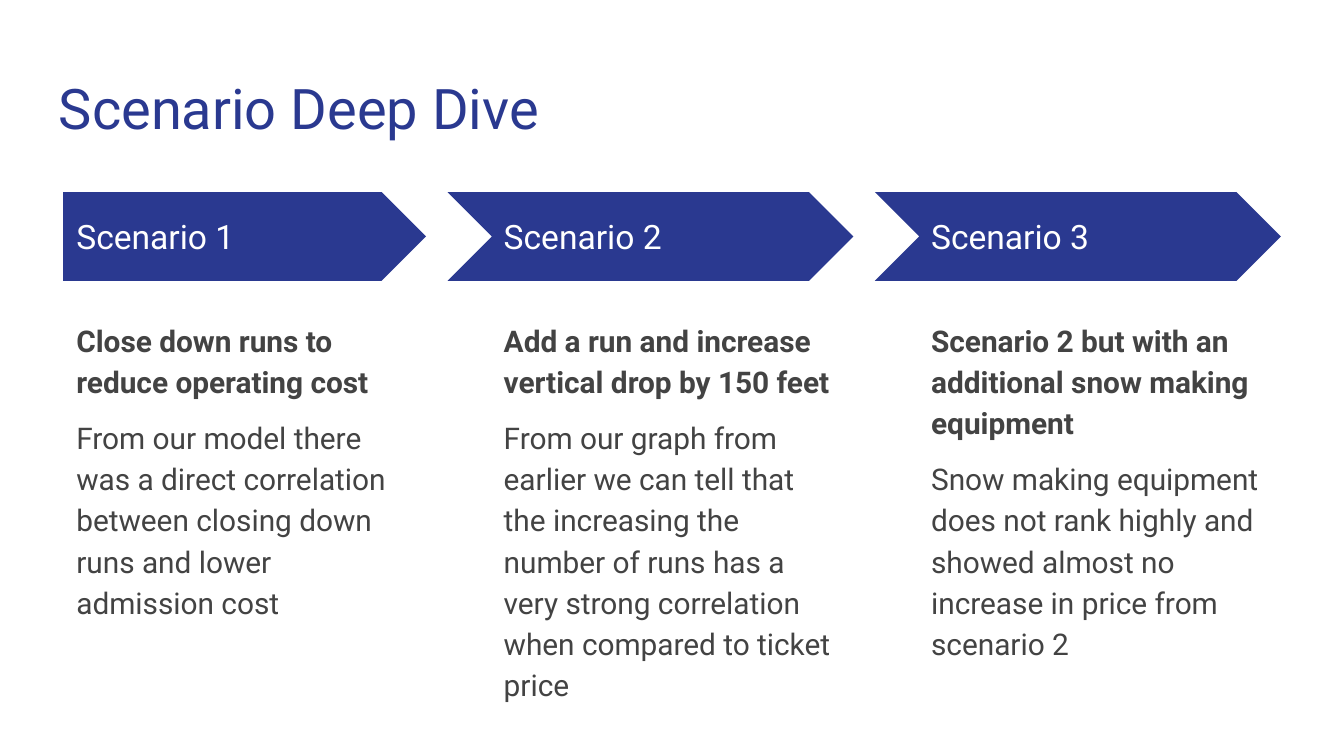
from pptx import Presentation
from pptx.dml.color import RGBColor
from pptx.enum.shapes import MSO_SHAPE
from pptx.enum.text import MSO_ANCHOR
from pptx.util import Inches, Pt

TITLE = "Scenario Deep Dive"
SCENARIOS = [
    ("Scenario 1", "Close down runs to reduce operating cost",
     "From our model there was a direct correlation between closing down "
     "runs and lower admission cost"),
    ("Scenario 2", "Add a run and increase vertical drop by 150 feet",
     "From our graph from earlier we can tell that the increasing the number "
     "of runs has a very strong correlation when compared to ticket price"),
    ("Scenario 3", "Scenario 2 but with an additional snow making equipment",
     "Snow making equipment does not rank highly and showed almost no "
     "increase in price from scenario 2"),
]
BLUE, WHITE, GREY = "2A3990", "FFFFFF", "434343"
FONT = "Roboto"

# Inches
SLIDE_W = 10
SLIDE_H = SLIDE_W * 9 / 16
LEFT, PITCH, COLUMN_W = 0.47, 3.18, 2.7
NOTCH = 0.32  # how far a chevron starts left of its column
ARROW_TOP, ARROW_H = 1.43, 0.66
LABEL_W, LABEL_H = 2.47, 0.34
BODY_TOP, BODY_H = 2.26, 2.9


def rgb(color):
    return RGBColor.from_string(color)


def add_text(s, box, paragraphs, size, color, anchor=MSO_ANCHOR.TOP,
             line_spacing=1.0):
    """paragraphs holds (text, bold, space before and after in points)."""
    tf = s.shapes.add_textbox(*map(Inches, box)).text_frame
    tf.word_wrap = True
    tf.vertical_anchor = anchor
    tf.margin_left = tf.margin_right = Inches(0.1)
    tf.margin_top = tf.margin_bottom = Inches(0.1)
    for i, (text, bold, space) in enumerate(paragraphs):
        p = tf.add_paragraph() if i else tf.paragraphs[0]
        p.line_spacing = line_spacing
        p.space_before = p.space_after = Pt(space)
        r = p.add_run()
        r.text = text
        r.font.name, r.font.size, r.font.bold = FONT, Pt(size), bold
        r.font.color.rgb = rgb(color)


def add_arrow(s, kind, left, width):
    sp = s.shapes.add_shape(kind, *map(Inches, (left, ARROW_TOP, width, ARROW_H)))
    sp.adjustments[0] = 0.5
    sp.shadow.inherit = False
    sp.fill.solid()
    sp.fill.fore_color.rgb = rgb(BLUE)
    sp.line.fill.background()


prs = Presentation()
prs.slide_width, prs.slide_height = Inches(SLIDE_W), Inches(SLIDE_H)
s = prs.slides.add_slide(prs.slide_layouts[6])

add_text(s, (0.34, 0.45, 9.32, 0.66), [(TITLE, False, 0)], 30, BLUE)

label_top = ARROW_TOP + (ARROW_H - LABEL_H) / 2
for i, (label, heading, detail) in enumerate(SCENARIOS):
    left = LEFT + i * PITCH
    if i:
        add_arrow(s, MSO_SHAPE.CHEVRON, left - NOTCH, COLUMN_W + NOTCH)
    else:
        add_arrow(s, MSO_SHAPE.PENTAGON, left, COLUMN_W)
    add_text(s, (left, label_top, LABEL_W, LABEL_H), [(label, False, 0)],
             18, WHITE, anchor=MSO_ANCHOR.MIDDLE)
    add_text(s, (left, BODY_TOP, COLUMN_W, BODY_H),
             [(heading, True, 0), (detail, False, 8)],
             16, GREY, line_spacing=1.15)

prs.save("out.pptx")
